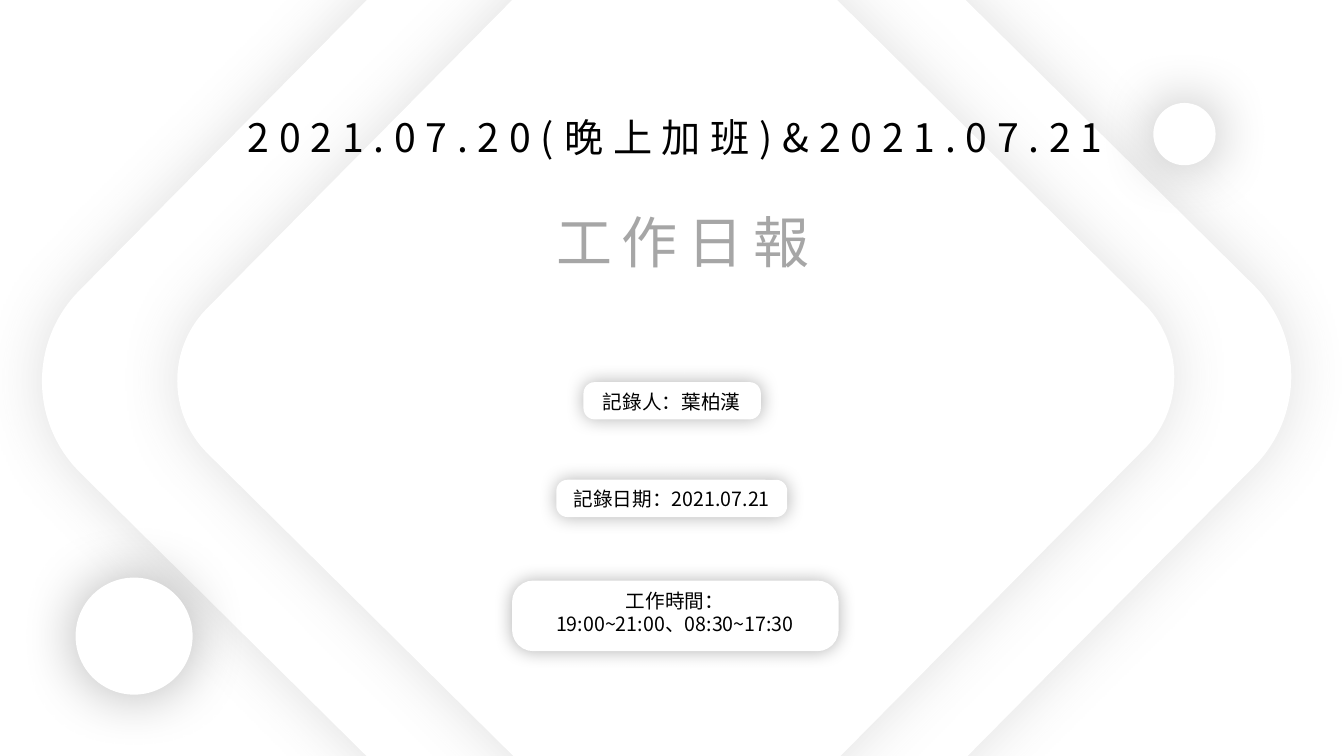
from lxml import etree
from pptx import Presentation
from pptx.dml.color import RGBColor
from pptx.enum.shapes import MSO_SHAPE as Shape
from pptx.enum.text import MSO_ANCHOR, MSO_AUTO_SIZE, PP_ALIGN
from pptx.oxml.ns import qn
from pptx.util import Cm, Pt

# Content
TITLE = "2021.07.20(晚上加班)&2021.07.21"
SUBTITLE = "工作日報"
# lines, pill centre and size, label centre and size (cm)
DETAILS = [
    (["記錄人：葉柏漢"], (16.94, 10.1, 4.47, 0.94), (16.93, 10.11, 5.31, 0.86)),
    (["記錄日期：2021.07.21"], (16.93, 12.56, 5.82, 0.94), (16.93, 12.57, 6.12, 0.86)),
    (["工作時間：", "19:00~21:00、08:30~17:30"],
     (17.02, 15.52, 8.23, 1.78), (17.01, 15.43, 8.66, 1.45)),
]

# Decoration: centre x, centre y, side (cm)
DIAMONDS = [(16.8, 9.54, 24.16), (17.03, 9.54, 19.28)]
CIRCLES = [(3.38, 16.03, 2.95), (29.85, 3.38, 1.57)]

# Style
FONT = "Noto Sans CJK SC"
COLORS = {"paper": "FFFFFF", "ink": "000000", "muted": "A6A6A6", "haze": "595959"}
HAZE = ("haze", 19, 43)  # colour, opacity in percent, blur in points
GLOW = ("ink", 30, 43)
EDGE = ("ink", 30, 13)


def box(cx, cy, width, height):
    return Cm(cx - width / 2), Cm(cy - height / 2), Cm(width), Cm(height)


def add_raised(parent, kind, area, shadow, corner=None, rotation=0):
    raised = parent.add_shape(kind, *box(*area))
    raised.fill.solid()
    raised.fill.fore_color.rgb = RGBColor.from_string(COLORS["paper"])
    raised.line.fill.background()
    raised.rotation = rotation
    if corner is not None:
        raised.adjustments[0] = corner
    # Soft shadow spread evenly on all sides
    color, opacity, blur = shadow
    raised.shadow.inherit = False
    effects = raised._element.spPr.find(qn("a:effectLst"))
    outer = etree.SubElement(effects, qn("a:outerShdw"), blurRad=str(Pt(blur)),
                             dist="0", dir="0", algn="ctr", rotWithShape="0")
    tint = etree.SubElement(outer, qn("a:srgbClr"), val=COLORS[color])
    etree.SubElement(tint, qn("a:alpha"), val=str(opacity * 1000))


def add_label(parent, lines, area, size, color="ink", tracking=0):
    frame = parent.add_textbox(*box(*area)).text_frame
    frame.word_wrap = True
    frame.auto_size = MSO_AUTO_SIZE.NONE
    frame.vertical_anchor = MSO_ANCHOR.MIDDLE
    for number, line in enumerate(lines):
        paragraph = frame.add_paragraph() if number else frame.paragraphs[0]
        paragraph.alignment = PP_ALIGN.CENTER
        run = paragraph.add_run()
        run.text = line
        run.font.size = Pt(size)
        run.font.name = FONT
        run.font.color.rgb = RGBColor.from_string(COLORS[color])
        properties = run.font._element
        etree.SubElement(properties, qn("a:ea"), typeface=FONT)
        if tracking:
            properties.set("spc", str(tracking * 100))


deck = Presentation()
deck.slide_width, deck.slide_height = Cm(33.87), Cm(19.05)
slide = deck.slides.add_slide(deck.slide_layouts[6])
shapes = slide.shapes

# Background diamonds
for cx, cy, side in DIAMONDS:
    add_raised(shapes, Shape.ROUNDED_RECTANGLE, (cx, cy, side, side), HAZE, 0.134, 44.7)

# Headings
add_label(shapes, [TITLE], (17.02, 3.44, 24.99, 1.45), 28, tracking=7)
add_label(shapes, [SUBTITLE], (17.21, 6.08, 12.07, 1.96), 40, "muted", tracking=7)

# Circles
for cx, cy, diameter in CIRCLES:
    add_raised(shapes, Shape.OVAL, (cx, cy, diameter, diameter), GLOW)

# Detail pills
for lines, pill, label in DETAILS:
    detail = shapes.add_group_shape().shapes
    add_raised(detail, Shape.ROUNDED_RECTANGLE, pill, EDGE, 0.302)
    add_label(detail, lines, label, 14)

deck.save("out.pptx")
